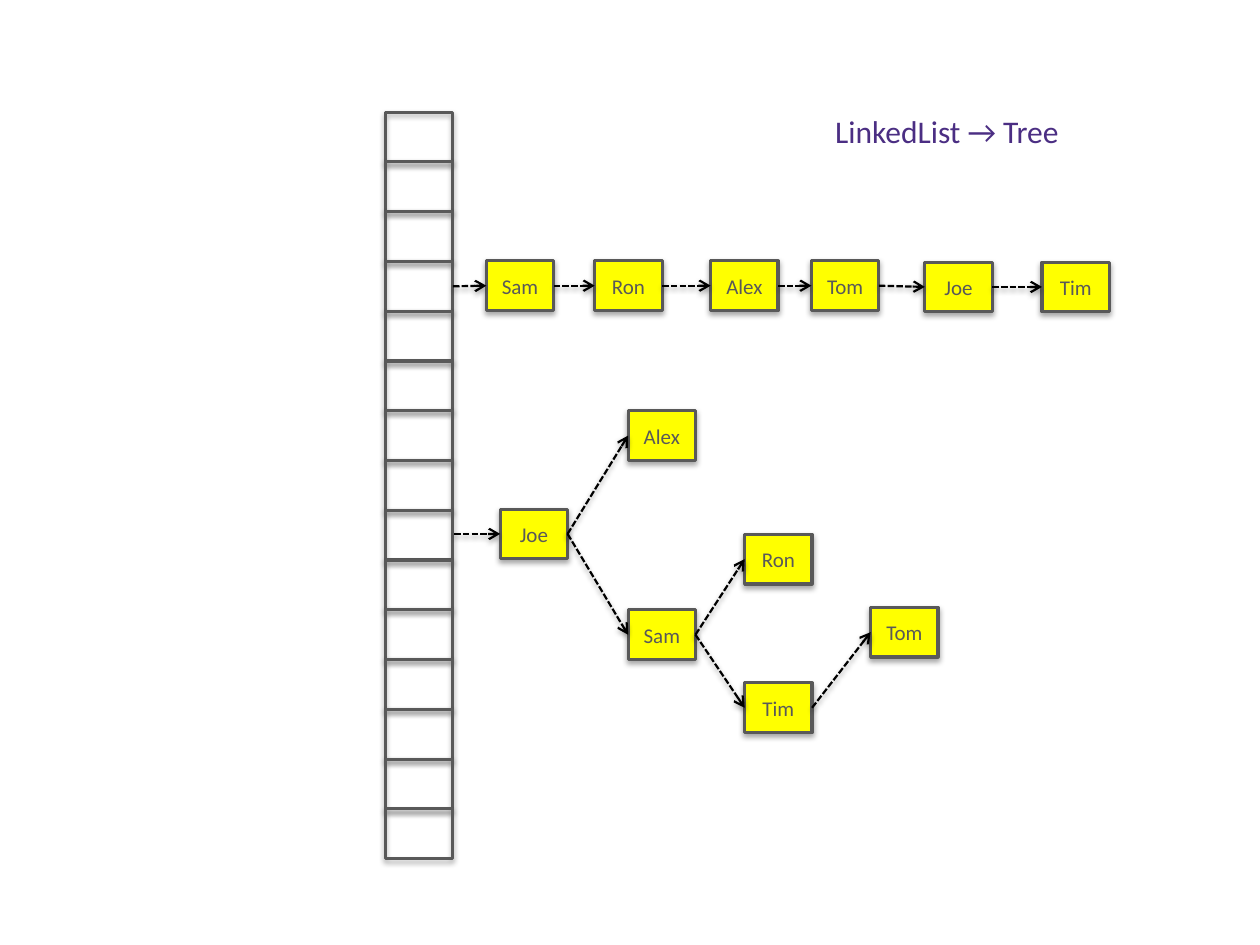
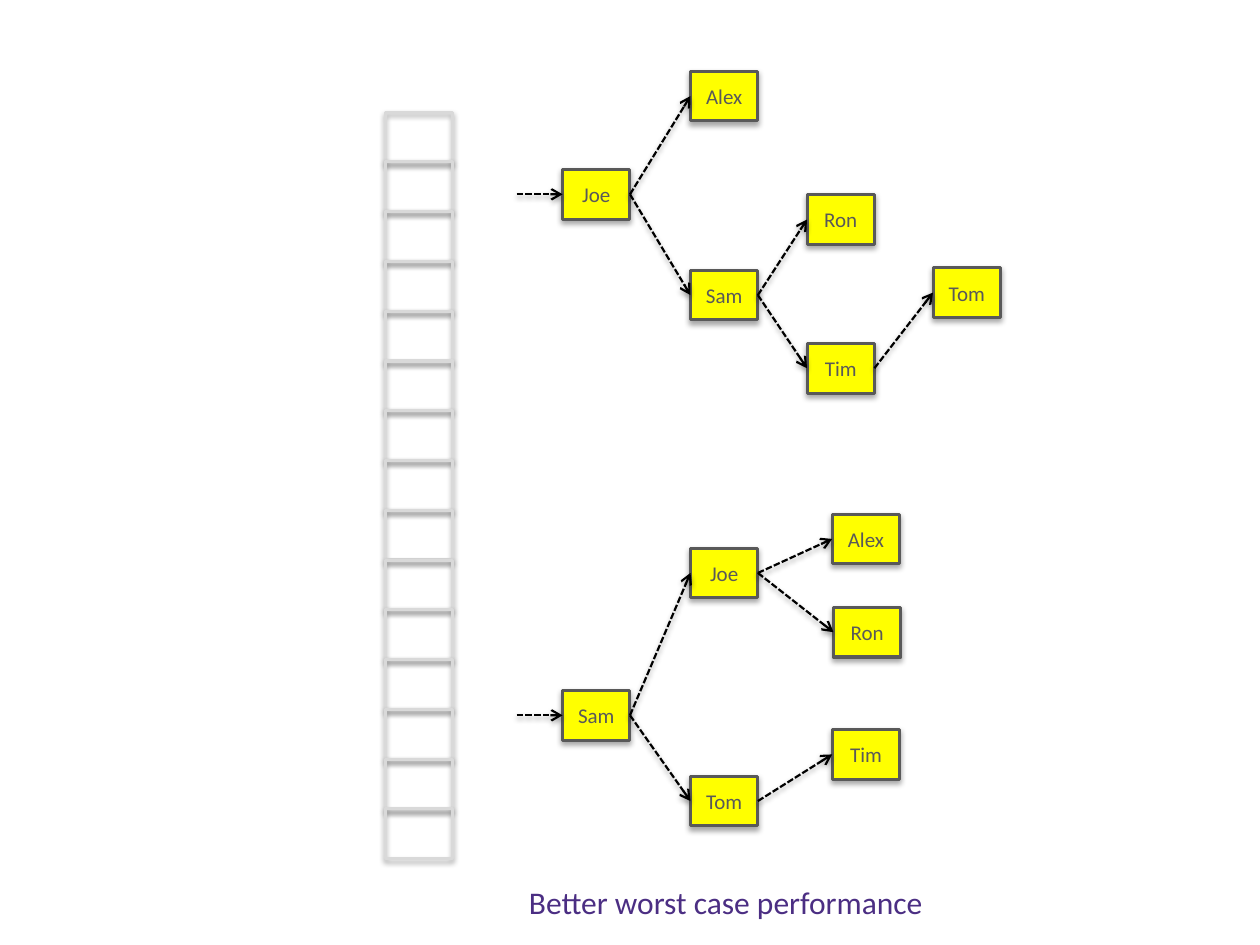
"""Build two slides that turn a hash bucket's linked list into trees."""

from dataclasses import dataclass
from typing import Any

import lxml.etree
import pptx
import pptx.dml.color
import pptx.enum.dml
import pptx.enum.shapes
import pptx.enum.text
import pptx.oxml.ns
import pptx.util

RIGHT_SIDE, LEFT_SIDE = 3, 1


@dataclass(frozen=True)
class Theme:
    """Colours, type sizes and line weights."""

    font: str = "Calibri"
    node_size: float = 12
    caption_size: float = 18
    node_fill: str = "FFFF00"
    outline: str = "595959"
    faded_outline: str = "D9D9D9"
    caption: str = "4B2E83"
    arrow: str = "000000"
    shadow: str = "000000"
    outline_weight: float = 1.75
    arrow_weight: float = 1.25
    shadow_blur: float = 3.15


@dataclass(frozen=True)
class Grid:
    """A slide of 100 columns by 75 rows."""

    width: Any = pptx.util.Inches(10)
    height: Any = pptx.util.Inches(7.5)
    columns: int = 100
    rows: int = 75

    def x(self, column: float) -> int:
        """Return the length of a number of columns."""
        return round(self.width * column / self.columns)

    def y(self, row: float) -> int:
        """Return the length of a number of rows."""
        return round(self.height * row / self.rows)


@dataclass(frozen=True)
class Bucket:
    """Size and place of the hash table's buckets."""

    column: float = 30.6
    row: float = 8.9
    width: float = 5.35
    height: float = 3.95
    count: int = 15


@dataclass(frozen=True)
class Node:
    """A tree node, placed relative to the root."""

    name: str
    column: float = 0
    row: float = 0
    children: tuple["Node", ...] = ()


@dataclass(frozen=True)
class Link:
    """A list node, placed on the slide's grid."""

    name: str
    column: float
    row: float = 20.7


@dataclass(frozen=True)
class Caption:
    """A line of text with its place and width."""

    text: str
    column: float
    row: float
    width: float


THEME = Theme()
GRID = Grid()
BUCKET = Bucket()
LEAD_LENGTH = 3.65
LIST_BUCKET = 3

LINKED_LIST = (
    Link("Sam", 38.6),
    Link("Ron", 47.2),
    Link("Alex", 56.4),
    Link("Tom", 64.4),
    Link("Joe", 73.4, 20.8),
    Link("Tim", 82.7, 20.8),
)
UNEVEN_TREE = Node("Joe", children=(
    Node("Alex", 10.15, -7.8),
    Node("Sam", 10.15, 8, (
        Node("Ron", 19.4, 2),
        Node("Tim", 19.4, 13.8, (Node("Tom", 29.4, 7.8),)),
    )),
))
BALANCED_TREE = Node("Sam", children=(
    Node("Joe", 10.15, -11.3, (
        Node("Alex", 21.4, -14),
        Node("Ron", 21.5, -6.6),
    )),
    Node("Tom", 10.15, 6.8, (Node("Tim", 21.4, 3.1),)),
))


def rgb(colour: str) -> pptx.dml.color.RGBColor:
    """Return a colour from its hexadecimal digits."""
    return pptx.dml.color.RGBColor.from_string(colour)


def add_child(parent: Any, tag: str, **attributes: Any) -> Any:
    """Append a drawing element to a parent."""
    texts = {name: str(value) for name, value in attributes.items()}
    return lxml.etree.SubElement(parent, pptx.oxml.ns.qn(tag), texts)


def add_shadow(effects: Any, distance: float, opacity: int) -> None:
    """Put a soft downward shadow in an effect list."""
    shadow = add_child(
        effects, "a:outerShdw", blurRad=pptx.util.Pt(THEME.shadow_blur),
        dist=pptx.util.Pt(distance), dir=90 * 60000, rotWithShape=0)
    colour = add_child(shadow, "a:srgbClr", val=THEME.shadow)
    add_child(colour, "a:alpha", val=opacity * 1000)


def add_box(slide: Any, column: float, row: float, outline: str) -> Any:
    """Add an unfilled bucket-sized box."""
    box = slide.shapes.add_shape(
        pptx.enum.shapes.MSO_SHAPE.RECTANGLE, GRID.x(column), GRID.y(row),
        GRID.x(BUCKET.width), GRID.y(BUCKET.height))
    box.fill.background()
    box.line.color.rgb = rgb(outline)
    box.line.width = pptx.util.Pt(THEME.outline_weight)
    box.shadow.inherit = False
    effects = box.element.spPr.find(pptx.oxml.ns.qn("a:effectLst"))
    add_shadow(effects, 1.8, 35)
    return box


def set_text(shape: Any, text: str, size: float, colour: str) -> Any:
    """Write one paragraph in a shape and return it."""
    paragraph = shape.text_frame.paragraphs[0]
    paragraph.text = text
    paragraph.font.name = THEME.font
    paragraph.font.size = pptx.util.Pt(size)
    paragraph.font.color.rgb = rgb(colour)
    return paragraph


def add_node(slide: Any, name: str, column: float, row: float) -> Any:
    """Add a named yellow box."""
    box = add_box(slide, column, row, THEME.outline)
    box.fill.solid()
    box.fill.fore_color.rgb = rgb(THEME.node_fill)
    frame = box.text_frame
    frame.margin_left = frame.margin_right = 0
    frame.vertical_anchor = pptx.enum.text.MSO_ANCHOR.MIDDLE
    paragraph = set_text(box, name, THEME.node_size, THEME.outline)
    paragraph.alignment = pptx.enum.text.PP_ALIGN.CENTER
    return box


def add_arrow(slide: Any, target: Any, source: Any = None) -> None:
    """Add a dashed arrow to a box from another box or from open space."""
    middle = target.top + target.height // 2
    arrow = slide.shapes.add_connector(
        pptx.enum.shapes.MSO_CONNECTOR.STRAIGHT,
        target.left - GRID.x(LEAD_LENGTH), middle, target.left, middle)
    if source is not None:
        arrow.begin_connect(source, RIGHT_SIDE)
    arrow.end_connect(target, LEFT_SIDE)
    arrow.line.color.rgb = rgb(THEME.arrow)
    arrow.line.width = pptx.util.Pt(THEME.arrow_weight)
    arrow.line.dash_style = pptx.enum.dml.MSO_LINE.SQUARE_DOT
    properties = arrow.element.spPr
    add_child(properties.find(pptx.oxml.ns.qn("a:ln")), "a:tailEnd", type="arrow")
    add_shadow(add_child(properties, "a:effectLst"), 1.6, 38)


def add_buckets(slide: Any, outline: str) -> list[Any]:
    """Add the column of hash table buckets."""
    return [
        add_box(slide, BUCKET.column, BUCKET.row + index * BUCKET.height, outline)
        for index in range(BUCKET.count)
    ]


def add_list(slide: Any, links: tuple[Link, ...], source: Any) -> None:
    """Add a chain of nodes that starts at a bucket."""
    for link in links:
        box = add_node(slide, link.name, link.column, link.row)
        add_arrow(slide, box, source)
        source = box


def add_tree(slide: Any, node: Node, column: float, row: float,
             parent: Any = None) -> None:
    """Add a node and its descendants around the root's place."""
    box = add_node(slide, node.name, column + node.column, row + node.row)
    add_arrow(slide, box, parent)
    for child in node.children:
        add_tree(slide, child, column, row, box)


def add_caption(slide: Any, caption: Caption) -> None:
    """Add a caption that fits its text."""
    box = slide.shapes.add_textbox(
        GRID.x(caption.column), GRID.y(caption.row), GRID.x(caption.width), GRID.y(4))
    box.text_frame.word_wrap = False
    box.text_frame.auto_size = pptx.enum.text.MSO_AUTO_SIZE.SHAPE_TO_FIT_TEXT
    set_text(box, caption.text, THEME.caption_size, THEME.caption)


def build_list_to_tree(slide: Any) -> None:
    """Show the same names as a list and as a tree."""
    buckets = add_buckets(slide, THEME.outline)
    add_list(slide, LINKED_LIST, buckets[LIST_BUCKET])
    add_tree(slide, UNEVEN_TREE, 39.7, 40.4)
    add_caption(slide, Caption("LinkedList → Tree", 65.3, 8.4, 20.2))


def build_balanced_tree(slide: Any) -> None:
    """Show the uneven tree above the balanced one."""
    add_buckets(slide, THEME.faded_outline)
    add_tree(slide, UNEVEN_TREE, 44.65, 13.45)
    add_tree(slide, BALANCED_TREE, 44.65, 54.8)
    add_caption(slide, Caption("Better worst case performance", 41, 69.6, 33.7))


def main() -> None:
    """Build and save the presentation."""
    presentation = pptx.Presentation()
    presentation.slide_width = GRID.width
    presentation.slide_height = GRID.height
    for build in (build_list_to_tree, build_balanced_tree):
        build(presentation.slides.add_slide(presentation.slide_layouts[6]))
    presentation.save("out.pptx")


if __name__ == "__main__":
    main()
